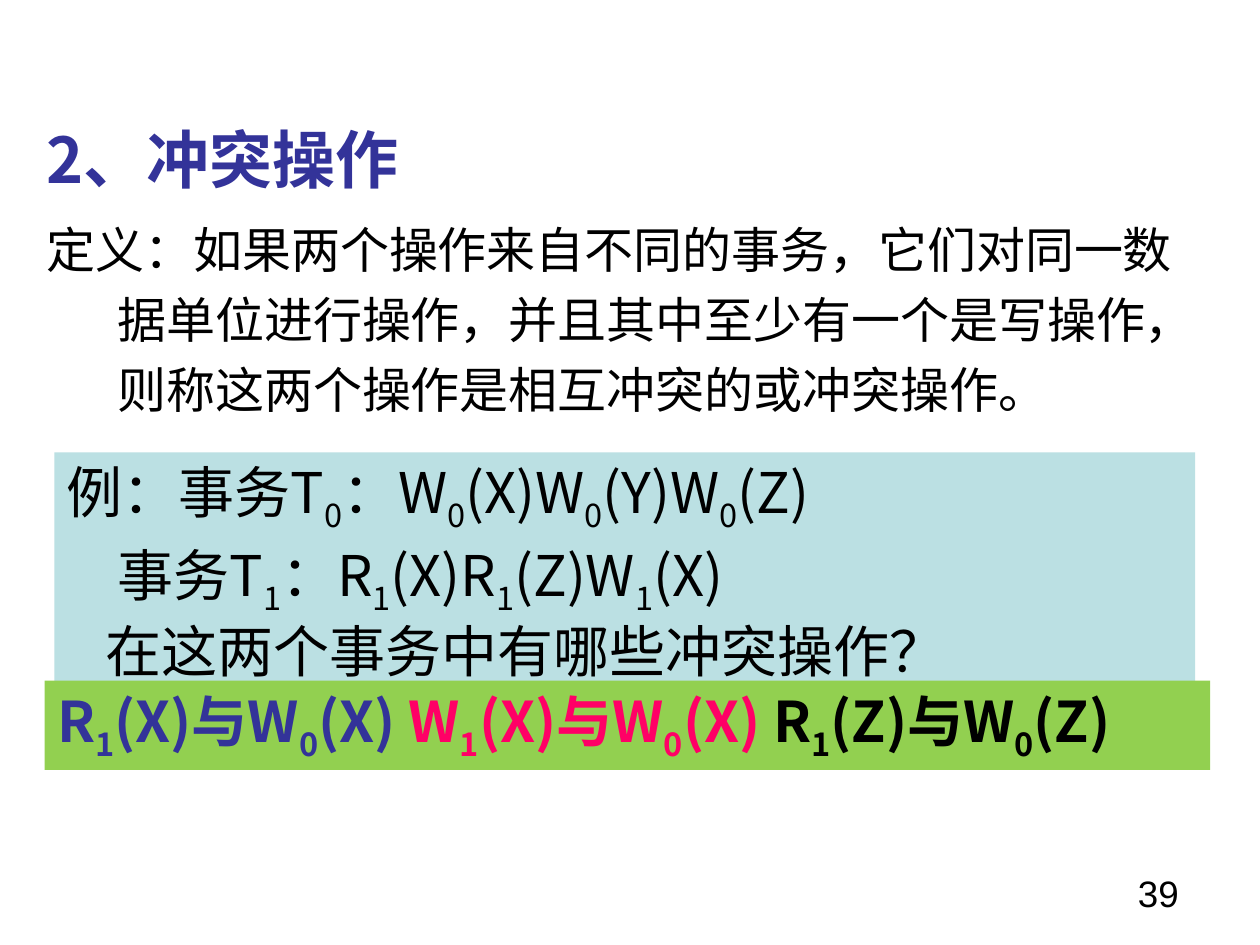
from dataclasses import dataclass

from lxml.etree import SubElement
from pptx import Presentation
from pptx.dml.color import RGBColor as RGB
from pptx.enum.shapes import MSO_SHAPE as SHAPE
from pptx.enum.text import MSO_ANCHOR as ANCHOR, MSO_AUTO_SIZE as FIT, PP_ALIGN as ALIGN
from pptx.oxml.ns import qn
from pptx.util import Pt


@dataclass(frozen=True)
class Theme:
    white: str = "FFFFFF"
    black: str = "000000"
    blue: str = "333399"
    pink: str = "FF0066"
    pale: str = "BBE0E3"
    green: str = "92D050"
    cjk: str = "Noto Sans CJK SC"
    latin: str = "Arial"
    title: int = 36
    example: int = 32
    body: int = 28
    number: int = 21


T = Theme()


def add_panel(s, x, y, w, h, fill, fit=FIT.NONE):
    sp = s.shapes.add_shape(SHAPE.RECTANGLE, Pt(x), Pt(y), Pt(w), Pt(h))
    sp.shadow.inherit = False
    sp.fill.solid()
    sp.fill.fore_color.rgb = RGB.from_string(fill)
    sp.line.fill.background()
    tf = sp.text_frame
    tf.word_wrap = True
    tf.auto_size = fit
    tf.vertical_anchor = ANCHOR.TOP
    return tf


def write(p, text, size, color=T.black, font=T.cjk, bold=False, align=ALIGN.LEFT,
          before=0, spacing=None, left=0, first=0):
    """Append text to p; the character after each underscore is a subscript."""
    p.alignment = align
    p.space_before = Pt(before)
    p.line_spacing = spacing
    pPr = p._p.get_or_add_pPr()
    pPr.set("marL", str(Pt(left)))
    pPr.set("indent", str(Pt(first)))
    head, *tails = text.split("_")
    pieces = [(head, False)]
    for tail in tails:
        pieces += [(tail[0], True), (tail[1:], False)]
    for piece, is_sub in pieces:
        r = p.add_run()
        r.text = piece
        r.font.size = Pt(size)
        r.font.bold = bold
        r.font.name = font
        r.font.color.rgb = RGB.from_string(color)
        rPr = r._r.get_or_add_rPr()
        SubElement(rPr, qn("a:ea")).set("typeface", T.cjk)
        if is_sub:
            rPr.set("baseline", "-25000")


prs = Presentation()
prs.slide_width, prs.slide_height = Pt(720), Pt(540)
s = prs.slides.add_slide(prs.slide_layouts[6])

# Definition
tf = add_panel(s, 19.5, 65.5, 666, 187, T.white)
write(tf.paragraphs[0], "2、冲突操作", T.title, T.blue, bold=True,
      before=9, left=40.5, first=-40.5)
write(tf.add_paragraph(),
      "定义：如果两个操作来自不同的事务，它们对同一数据单位进行操作，"
      "并且其中至少有一个是写操作，则称这两个操作是相互冲突的或冲突操作。",
      T.body, font=T.latin, before=7, spacing=Pt(40), left=40.5, first=-40.5)

# Example
tf = add_panel(s, 31, 258.5, 652, 175, T.pale, FIT.SHAPE_TO_FIT_TEXT)
example = [
    ("例：事务T_0：W_0(X)W_0(Y)W_0(Z)", 0),
    ("事务T_1：R_1(X)R_1(Z)W_1(X)", 29),
    ("在这两个事务中有哪些冲突操作？", 22),
]
for i, (text, left) in enumerate(example):
    p = tf.add_paragraph() if i else tf.paragraphs[0]
    write(p, text, T.example, before=8, spacing=0.9, left=left)

# Conflicting pairs
tf = add_panel(s, 25.5, 389, 666, 51, T.green, FIT.SHAPE_TO_FIT_TEXT)
pairs = [
    ("R_1(X)与W_0(X) ", T.blue),
    ("W_1(X)与W_0(X)", T.pink),
    (" R_1(Z)与W_0(Z)", T.black),
]
for text, color in pairs:
    write(tf.paragraphs[0], text, T.example, color, bold=True, before=8)

# Page number
tf = s.shapes.add_textbox(Pt(516), Pt(492), Pt(168), Pt(37.5)).text_frame
tf.word_wrap = True
tf.margin_left = tf.margin_right = Pt(10.5)
tf.margin_top = tf.margin_bottom = Pt(5.5)
write(tf.paragraphs[0], "39", T.number, font=T.latin, align=ALIGN.RIGHT)

prs.save("out.pptx")
